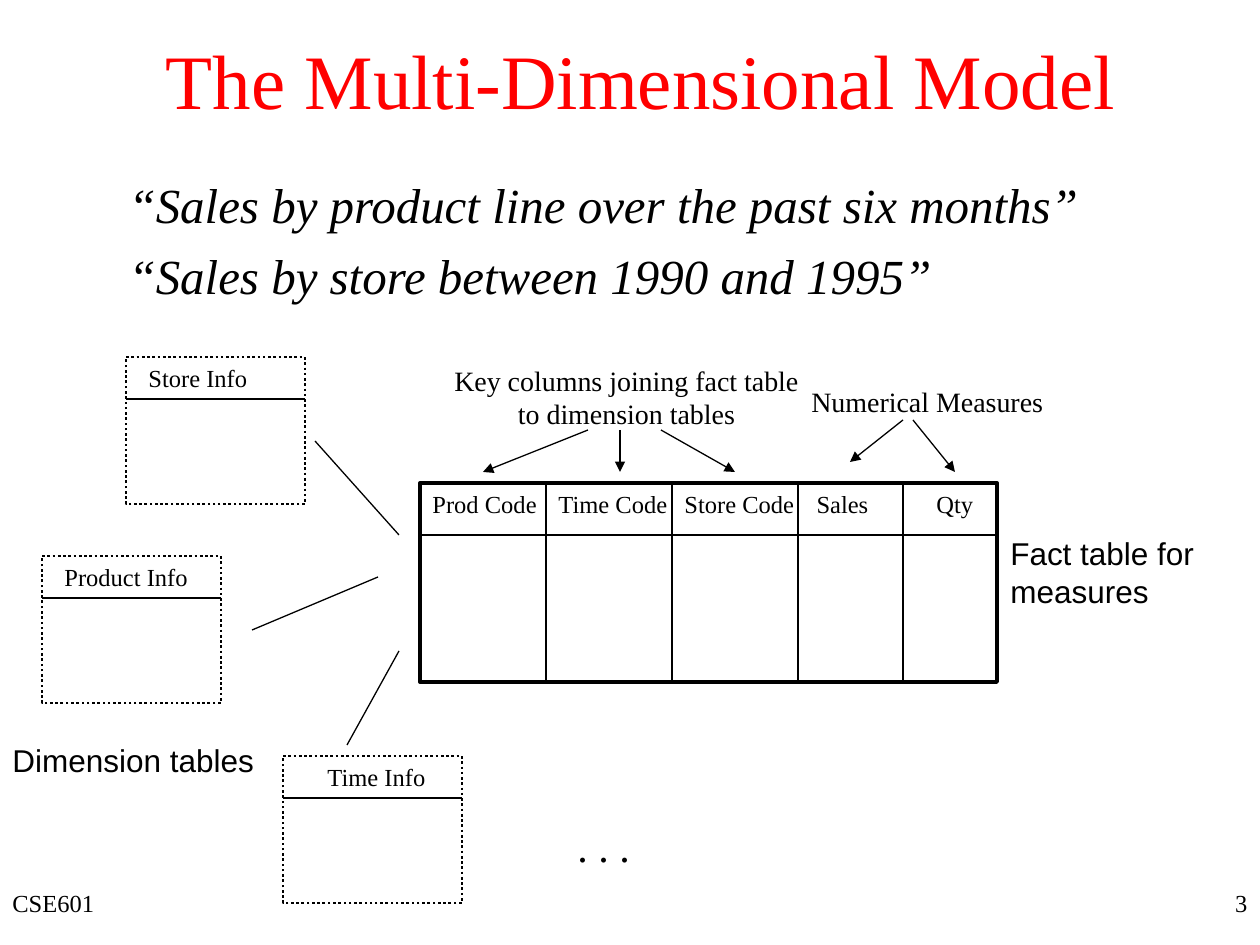
from lxml.etree import SubElement
from pptx import Presentation
from pptx.dml.color import RGBColor
from pptx.enum.dml import MSO_LINE
from pptx.enum.shapes import MSO_CONNECTOR, MSO_SHAPE
from pptx.enum.text import MSO_ANCHOR, MSO_AUTO_SIZE, PP_ALIGN
from pptx.oxml.ns import qn
from pptx.util import Pt

SCALE = 914400 / 126  # EMU in one px
BLACK = RGBColor(0, 0, 0)
RED = RGBColor(255, 0, 0)
SERIF = "Times New Roman"
SANS = "Arial"
TAB_STEP = 126
SLACK = 4  # room on each side that keeps a label on its line


def px(*values):
    return [round(v * SCALE) for v in values]


def write(tf, lines, size, name=SERIF, color=BLACK, align=PP_ALIGN.LEFT, **extra):
    """Fill a text frame, one paragraph a line."""
    font_values = {"size": Pt(size), "name": name, **extra}
    for i, line in enumerate(lines):
        p = tf.paragraphs[0] if i == 0 else tf.add_paragraph()
        p.alignment = align
        r = p.add_run()
        r.text = line
        r.font.color.rgb = color
        for key, value in font_values.items():
            setattr(r.font, key, value)


def add_label(s, box, lines, size, wrap=False, **style):
    """Add a text box; without wrap it gets slack but its text stays in place."""
    left, top, width, height = box
    if not wrap:
        width += 2 * SLACK
        if style.get("align") == PP_ALIGN.CENTER:
            left -= SLACK
    tf = s.shapes.add_textbox(*px(left, top, width, height)).text_frame
    tf.word_wrap = wrap
    tf.auto_size = MSO_AUTO_SIZE.NONE
    write(tf, lines, size, **style)
    return tf


def set_tabs(p, count):
    tabs = SubElement(p._p.get_or_add_pPr(), qn("a:tabLst"))
    for i in range(1, count + 1):
        pos, = px(i * TAB_STEP)
        SubElement(tabs, qn("a:tab"), pos=str(pos), algn="l")


def fill_placeholder(sp, box, lines, size, anchor, **style):
    sp.left, sp.top, sp.width, sp.height = px(*box)
    tf = sp.text_frame
    tf.auto_size = MSO_AUTO_SIZE.NONE
    tf.vertical_anchor = anchor
    write(tf, lines, size, **style)
    return tf


def add_frame(s, box, width, dash=None):
    sp = s.shapes.add_shape(MSO_SHAPE.RECTANGLE, *px(*box))
    sp.shadow.inherit = False
    sp.fill.background()
    sp.line.color.rgb = BLACK
    sp.line.width = Pt(width)
    if dash:
        sp.line.dash_style = dash


def add_line(s, x1, y1, x2, y2, arrow=False):
    line = s.shapes.add_connector(MSO_CONNECTOR.STRAIGHT, *px(x1, y1, x2, y2))
    line.line.color.rgb = BLACK
    line.line.width = Pt(0.75)
    if arrow:
        SubElement(line.line._get_or_add_ln(), qn("a:tailEnd"), type="triangle")
    SubElement(line._element.spPr, qn("a:effectLst"))


def add_queries(sp):
    queries = ["“Sales by product line over the past six months”",
               "“Sales by store between 1990 and 1995”"]
    tf = fill_placeholder(sp, (116, 168, 1113, 147), queries, 28,
                          MSO_ANCHOR.TOP, italic=True)
    indent, = px(32)
    for p in tf.paragraphs:
        p.space_before = Pt(7)
        pPr = p._p.get_or_add_pPr()
        pPr.set("marL", str(indent))
        pPr.set("indent", str(-indent))
        SubElement(pPr, qn("a:buNone"))


def add_fact_table(s):
    left, top, width, height = 420, 483, 577, 199
    add_frame(s, (left, top, width, height), 2.25)
    tf = add_label(s, (left, top, 655, 43),
                   ["Prod Code\tTime Code \tStore Code\t Sales\tQty\t"], 14)
    set_tabs(tf.paragraphs[0], 5)
    add_line(s, left, top + 52, left + width, top + 52)
    for x in (546, 672, 798, 903):
        add_line(s, x, top, x, top + height)


def add_dimension_table(s, name, left, top, label_x, label_width):
    width, height, header = 179, 147, 42
    add_frame(s, (left, top, width, height), 1.5, MSO_LINE.ROUND_DOT)
    add_label(s, (label_x, top, label_width, 43), [name], 14)
    add_line(s, left, top + header, left + width, top + header)


def main():
    prs = Presentation()
    prs.slide_width, prs.slide_height = px(1260, 945)
    s = prs.slides.add_slide(prs.slide_layouts[1])

    # Title and example queries
    fill_placeholder(s.shapes.title, (53, 0, 1176, 158),
                     ["The Multi-Dimensional Model"], 44, MSO_ANCHOR.MIDDLE,
                     color=RED, align=PP_ALIGN.CENTER)
    add_queries(s.placeholders[1])

    # Fact table and dimension tables
    add_fact_table(s)
    for table in (("Store Info", 126, 357, 136, 123),
                  ("Product Info", 42, 556, 52, 148),
                  ("Time Info", 283, 756, 315, 123)):
        add_dimension_table(s, *table)

    # Links from dimensions to the fact table
    for link in ((315, 441, 399, 535), (252, 630, 378, 577), (347, 745, 399, 651)):
        add_line(s, *link)

    # Arrows from the notes to the columns
    for arrow in ((588, 430, 483, 472), (620, 430, 620, 472), (661, 430, 735, 472),
                  (903, 420, 850, 462), (913, 420, 955, 472)):
        add_line(s, *arrow, arrow=True)

    # Notes
    add_label(s, (442, 357, 369, 81),
              ["Key columns joining fact table", "to dimension tables"], 16,
              align=PP_ALIGN.CENTER)
    add_label(s, (799, 378, 257, 47), ["Numerical Measures"], 16)
    add_label(s, (998, 528, 218, 88), ["Fact table for", "measures"], 18, name=SANS)
    add_label(s, (0, 735, 267, 50), ["Dimension tables"], 18, name=SANS)
    add_label(s, (565, 814, 77, 63), [". . ."], 24)

    # Footer
    add_label(s, (0, 882, 399, 63), ["CSE601"], 14, wrap=True)
    add_label(s, (998, 882, 262, 63), ["3"], 14, wrap=True, align=PP_ALIGN.RIGHT)

    prs.save("out.pptx")


if __name__ == "__main__":
    main()
